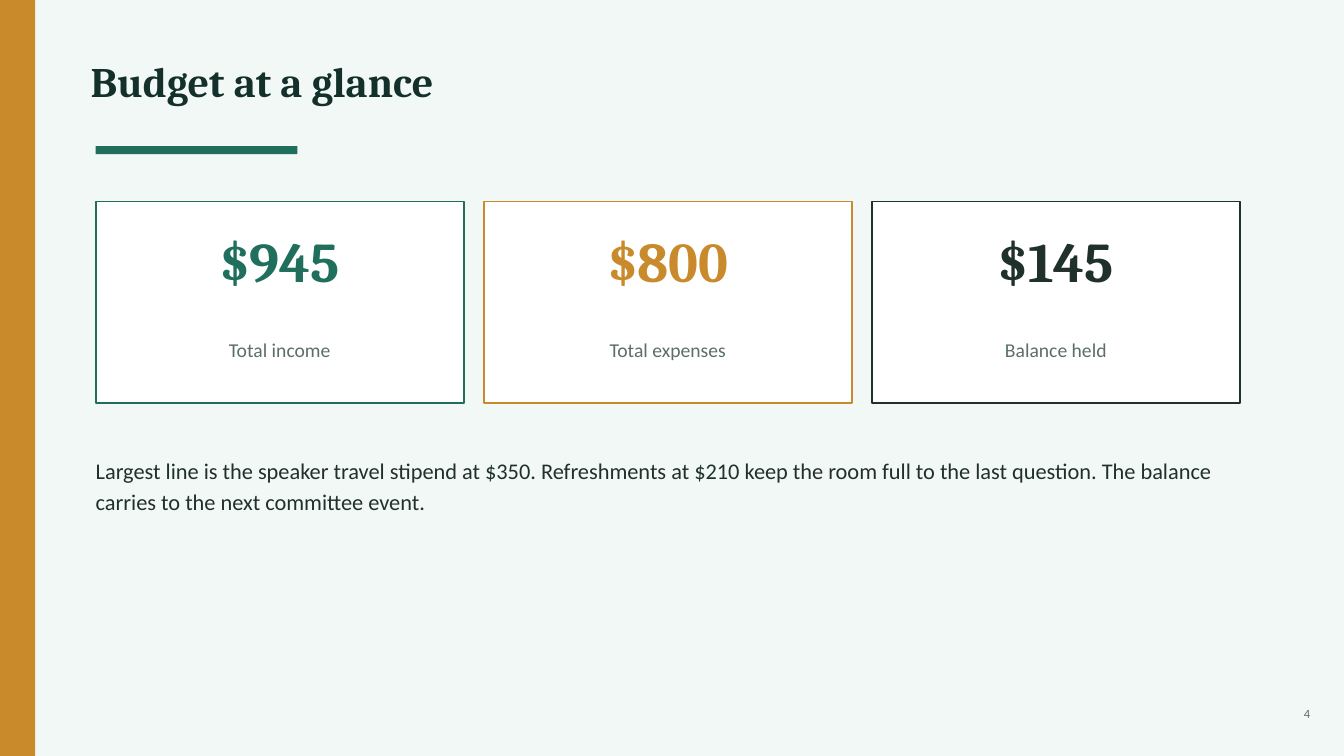
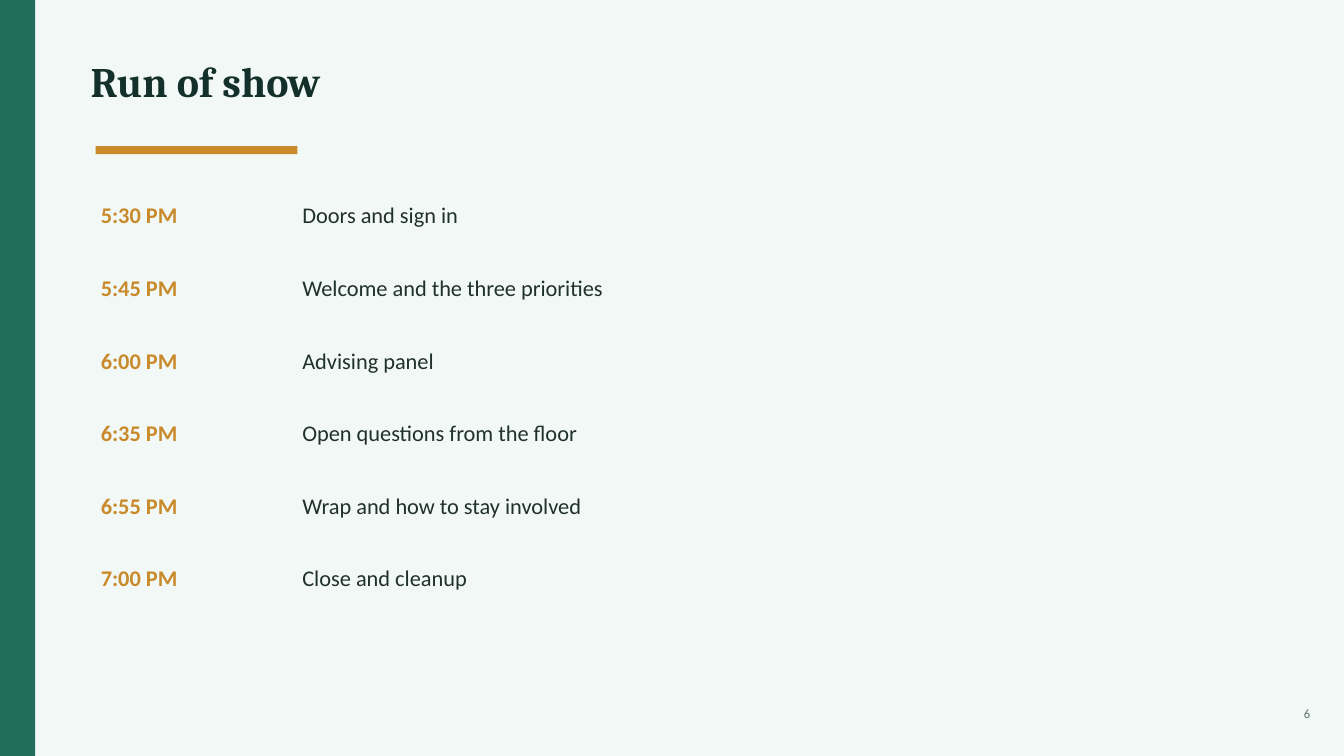
import pptx
import pptx.dml.color
import pptx.enum.shapes
import pptx.enum.text
import pptx.util

Pt = pptx.util.Pt
ALIGN = pptx.enum.text.PP_ALIGN

COLORS = {
    "paper": "F2F8F5",
    "card": "FFFFFF",
    "green": "1F6F5C",
    "gold": "C98A2B",
    "title": "14302A",
    "ink": "20302B",
    "muted": "5B6F68",
}
HEADING_FONT, BODY_FONT = "Cambria", "Calibri"
SLIDE_WIDTH, SLIDE_HEIGHT = 960, 540
CONTENT_LEFT = 68.4

TOTALS = [
    ("$945", "Total income", "green"),
    ("$800", "Total expenses", "gold"),
    ("$145", "Balance held", "ink"),
]
BUDGET_NOTE = (
    "Largest line is the speaker travel stipend at $350. "
    "Refreshments at $210 keep the room full to the last question. "
    "The balance carries to the next committee event."
)
SCHEDULE = [
    ("5:30 PM", "Doors and sign in"),
    ("5:45 PM", "Welcome and the three priorities"),
    ("6:00 PM", "Advising panel"),
    ("6:35 PM", "Open questions from the floor"),
    ("6:55 PM", "Wrap and how to stay involved"),
    ("7:00 PM", "Close and cleanup"),
]


def rgb(color):
    return pptx.dml.color.RGBColor.from_string(COLORS[color])


def in_points(box):
    return [Pt(length) for length in box]


def add_rectangle(slide, box, fill, outline=None):
    rectangle = slide.shapes.add_shape(
        pptx.enum.shapes.MSO_SHAPE.RECTANGLE, *in_points(box))
    rectangle.shadow.inherit = False
    rectangle.fill.solid()
    rectangle.fill.fore_color.rgb = rgb(fill)
    if outline:
        rectangle.line.color.rgb = rgb(outline)
        rectangle.line.width = Pt(1.3)
    else:
        rectangle.line.fill.background()


def write_text(holder, text, size, color, font=BODY_FONT, bold=False,
               align=ALIGN.LEFT, line_spacing=None):
    """Fill a text box or placeholder with one formatted paragraph."""
    frame = holder.text_frame
    frame.word_wrap = True
    frame.auto_size = pptx.enum.text.MSO_AUTO_SIZE.SHAPE_TO_FIT_TEXT
    frame.vertical_anchor = pptx.enum.text.MSO_ANCHOR.TOP
    frame.margin_left = frame.margin_right = 0
    frame.margin_top = frame.margin_bottom = 0
    paragraph = frame.paragraphs[0]
    paragraph.alignment = align
    paragraph.space_after = Pt(6)
    paragraph.line_spacing = line_spacing
    run = paragraph.add_run()
    run.text = text
    run.font.name = font
    run.font.size = Pt(size)
    run.font.bold = bold
    run.font.color.rgb = rgb(color)


def add_text(slide, box, text, size, color, **style):
    write_text(slide.shapes.add_textbox(*in_points(box)),
               text, size, color, **style)


def add_base_slide(prs, title, number, band, rule):
    """Add a slide with its side band, title, title rule and page number."""
    slide = prs.slides.add_slide(prs.slide_layouts.get_by_name("Title Only"))
    add_rectangle(slide, (0, 0, 25.2, SLIDE_HEIGHT), band)
    heading = slide.shapes.title
    heading.left, heading.top, heading.width, heading.height = in_points(
        (64.8, 39.6, 828, 72))
    write_text(heading, title, 30, "title", font=HEADING_FONT, bold=True)
    add_rectangle(slide, (CONTENT_LEFT, 104.4, 144, 5.76), rule)
    add_text(slide, (892.8, 504, 43.2, 28.8), str(number), 9, "muted",
             align=ALIGN.RIGHT)
    return slide


def add_total_card(slide, box, amount, label, color):
    left, top, width, height = box
    add_rectangle(slide, box, "card", outline=color)
    add_text(slide, (left, top + 18, width, height / 2), amount, 40, color,
             font=HEADING_FONT, bold=True, align=ALIGN.CENTER)
    add_text(slide, (left, top + 97.2, width, height / 4), label, 14, "muted",
             align=ALIGN.CENTER)


def add_totals(slide, box, gap):
    left, top, width, height = box
    card_width = (width - gap * (len(TOTALS) - 1)) / len(TOTALS)
    for column, total in enumerate(TOTALS):
        card_left = left + column * (card_width + gap)
        add_total_card(slide, (card_left, top, card_width, height), *total)


def add_schedule(slide, box):
    left, top, width, height = box
    row_pitch = height / len(SCHEDULE)
    activity_offset = 144
    for row, (time, activity) in enumerate(SCHEDULE):
        row_top = top + row * row_pitch
        add_text(slide, (left, row_top, 129.6, 36), time, 16, "gold",
                 bold=True)
        add_text(slide, (left + activity_offset, row_top,
                         width - activity_offset, 36), activity, 16, "ink")


def build_budget_slide(prs):
    slide = add_base_slide(prs, "Budget at a glance", 4, "gold", "green")
    add_totals(slide, (CONTENT_LEFT, 144, 817.2, 144), gap=14.4)
    add_text(slide, (CONTENT_LEFT, 324, 820.8, 129.6), BUDGET_NOTE, 16, "ink",
             line_spacing=1.15)


def build_schedule_slide(prs):
    slide = add_base_slide(prs, "Run of show", 6, "green", "gold")
    add_schedule(slide, (72, 144, 792, 311.04))


def main():
    prs = pptx.Presentation()
    prs.slide_width, prs.slide_height = Pt(SLIDE_WIDTH), Pt(SLIDE_HEIGHT)
    background = prs.slide_master.background.fill
    background.solid()
    background.fore_color.rgb = rgb("paper")
    build_budget_slide(prs)
    build_schedule_slide(prs)
    prs.save("out.pptx")


if __name__ == "__main__":
    main()
